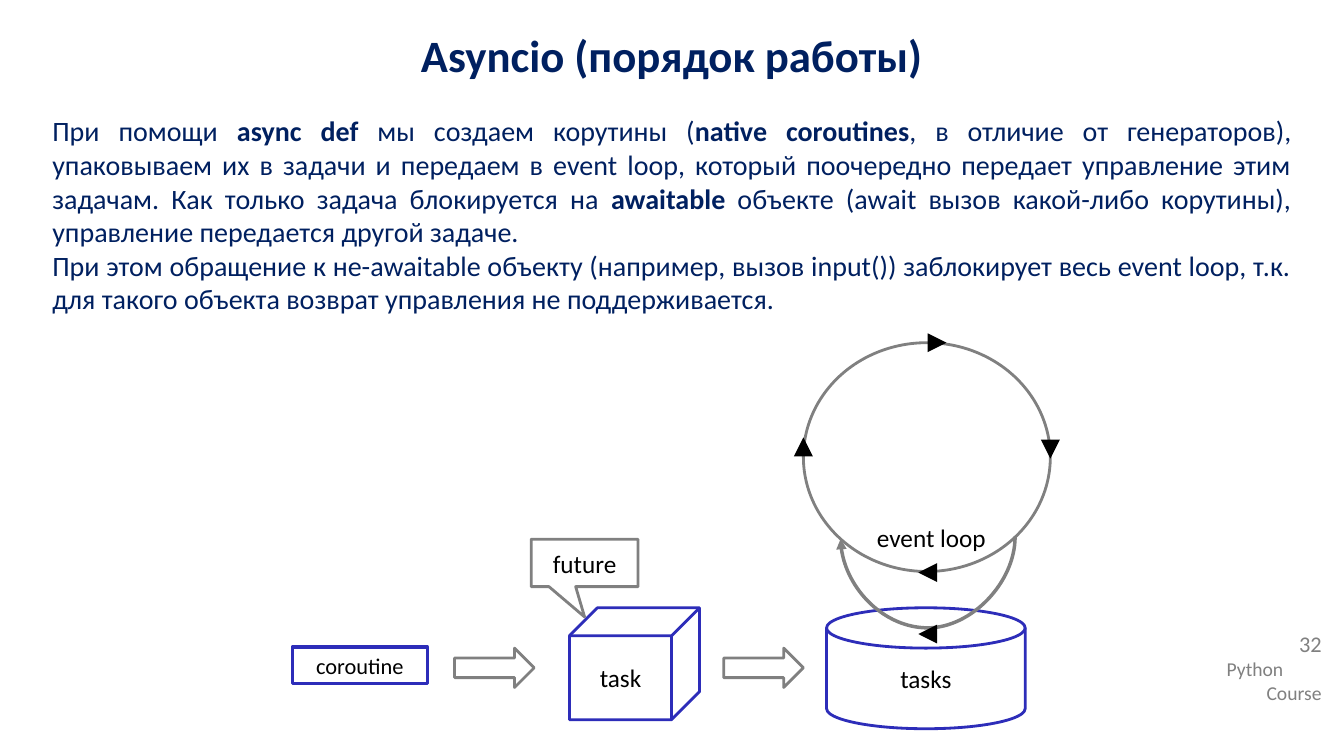
from lxml.etree import SubElement
from pptx import Presentation
from pptx.dml.color import RGBColor
from pptx.enum.shapes import MSO_CONNECTOR, MSO_SHAPE
from pptx.enum.text import MSO_ANCHOR, PP_ALIGN
from pptx.oxml.ns import qn
from pptx.util import Inches, Pt

COLOURS = {"navy": "002060", "blue": "2D2DB9", "gray": "808080",
           "black": "000000", "white": "FFFFFF"}
LEFT, CENTER, RIGHT, JUSTIFY = (
    PP_ALIGN.LEFT, PP_ALIGN.CENTER, PP_ALIGN.RIGHT, PP_ALIGN.JUSTIFY)

deck = Presentation()
deck.slide_width = Inches(13.33)
deck.slide_height = Inches(7.5)
page = deck.slides.add_slide(deck.slide_layouts[6])
column = deck.slide_width / 160
row = deck.slide_height / 90


def place(*cells):
    return [round(cell * (row if index % 2 else column))
            for index, cell in enumerate(cells)]


def write(box, lines, size, colour, anchor=MSO_ANCHOR.TOP):
    frame = box.text_frame
    frame.word_wrap = True
    frame.vertical_anchor = anchor
    for number, (text, alignment) in enumerate(lines):
        para = frame.add_paragraph() if number else frame.paragraphs[0]
        para.alignment = alignment
        for index, part in enumerate(text.split("*")):
            if part:
                span = para.add_run()
                span.text = part
                span.font.name = "Calibri"
                span.font.size = Pt(size)
                span.font.bold = index % 2 == 1
                span.font.color.rgb = RGBColor.from_string(COLOURS[colour])


body = [
    ("При помощи *async def *мы создаем корутины (*native coroutines*, "
     "в отличие от генераторов), упаковываем их в задачи и передаем в event loop, "
     "который поочередно передает управление этим задачам. Как только задача "
     "блокируется на *awaitable *объекте (await вызов какой-либо корутины), "
     "управление передается другой задаче.", JUSTIFY),
    ("При этом обращение к не-awaitable объекту (например, вызов input()) "
     "заблокирует весь event loop, т.к. для такого объекта возврат управления "
     "не поддерживается.", JUSTIFY),
]
texts = [
    ((144.84, 77.64, 13.68, 6.72), [("Python", LEFT), ("Course", RIGHT)], 14, "gray"),
    ((144.84, 74.4, 13.68, 5.4), [("32", RIGHT)], 16, "gray"),
    ((0, 2.76, 160, 9.12), [("*Asyncio (порядок работы)*", CENTER)], 32, "navy"),
    ((5.04, 12.96, 149.88, 74.76), body, 20, "navy"),
]
for cells, lines, size, colour in texts:
    write(page.shapes.add_textbox(*place(*cells)), lines, size, colour)

TOP, MIDDLE = MSO_ANCHOR.TOP, MSO_ANCHOR.MIDDLE
shapes = [
    (MSO_SHAPE.FLOWCHART_MAGNETIC_DISK, (98.4, 72.36, 23.64, 14.4),
     "blue", 2, "tasks", 18, MIDDLE),
    (MSO_SHAPE.RIGHT_ARROW, (86.16, 77.16, 9.48, 4.68), "gray", 2, "", 18, MIDDLE),
    (MSO_SHAPE.RIGHT_ARROW, (54.12, 77.16, 9.48, 4.68), "gray", 2, "", 18, MIDDLE),
    (MSO_SHAPE.OVAL, (95.64, 40.8, 29.4, 27.24), "gray", 2, "", 18, MIDDLE),
    (MSO_SHAPE.CUBE, (67.8, 72.36, 15.48, 13.32), "blue", 2, "task", 18, MIDDLE),
    (MSO_SHAPE.RECTANGLE, (34.8, 77.04, 16.08, 4.32),
     "blue", 2.5, "coroutine", 16, TOP),
    (MSO_SHAPE.RECTANGULAR_CALLOUT, (63.24, 64.2, 12.72, 5.64),
     "gray", 2, "future", 18, MIDDLE),
]
for kind, cells, colour, weight, label, size, anchor in shapes:
    shape = page.shapes.add_shape(kind, *place(*cells))
    shape.shadow.inherit = False
    shape.line.color.rgb = RGBColor.from_string(COLOURS[colour])
    shape.line.width = Pt(weight)
    if kind == MSO_SHAPE.OVAL:
        shape.fill.solid()
        shape.fill.fore_color.rgb = RGBColor.from_string(COLOURS["white"])
    else:
        shape.fill.background()
    if kind == MSO_SHAPE.RECTANGULAR_CALLOUT:
        shape.adjustments[0] = 0
        shape.adjustments[1] = 1.14
    if label:
        write(shape, [(label, CENTER)], size, "black", anchor)

STRAIGHT, CURVE = MSO_CONNECTOR.STRAIGHT, MSO_CONNECTOR.CURVE
arrows = [
    (CURVE, (110.34, 53.64, 110.58, 74.4), "gray", 2.5),
    (STRAIGHT, (110.76, 40.8, 112.68, 40.8), "black", 4.5),
    (STRAIGHT, (125.04, 53.16, 125.04, 54.6), "black", 4.5),
    (STRAIGHT, (95.64, 53.16, 95.64, 52.08), "black", 4.5),
    (STRAIGHT, (110.28, 68.16, 109.32, 68.16), "black", 4.5),
    (STRAIGHT, (110.28, 75.48, 109.32, 75.48), "black", 4.5),
]
for kind, cells, colour, weight in arrows:
    arrow = page.shapes.add_connector(kind, *place(*cells))
    arrow.line.color.rgb = RGBColor.from_string(COLOURS[colour])
    arrow.line.width = Pt(weight)
    properties = arrow._element.spPr
    SubElement(properties.get_or_add_ln(), qn("a:tailEnd"), type="triangle")
    SubElement(properties, qn("a:effectLst"))
    if kind == CURVE:
        properties.find(qn("a:xfrm")).set("rot", "5400000")
        guides = properties.find(qn("a:prstGeom")).find(qn("a:avLst"))
        SubElement(guides, qn("a:gd"), name="adj1", fmla="val 4500000")

loop_label = page.shapes.add_textbox(*place(101.4, 61.56, 18.96, 4.8))
write(loop_label, [("event loop", CENTER)], 18, "black")

deck.save("out.pptx")
